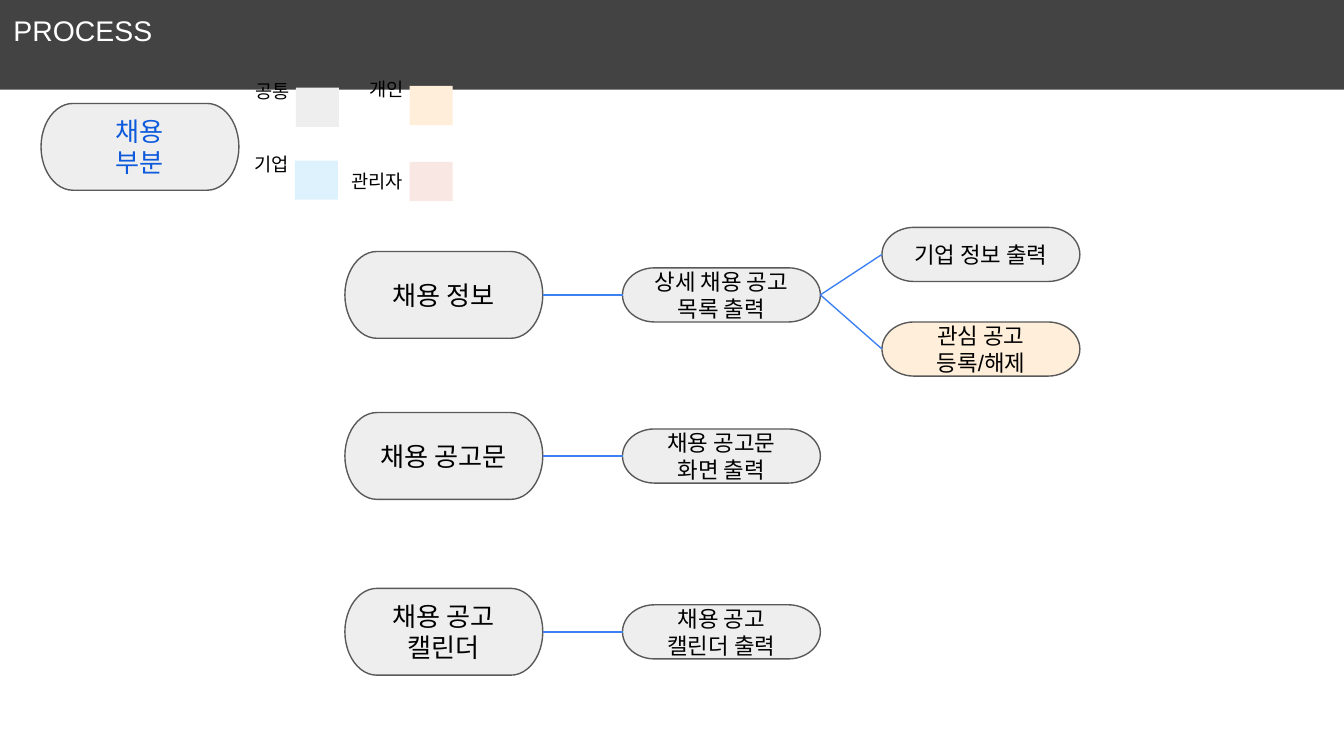
from lxml.etree import SubElement
from pptx import Presentation
from pptx.dml.color import RGBColor
from pptx.enum.shapes import MSO_CONNECTOR, MSO_SHAPE
from pptx.enum.text import MSO_ANCHOR, MSO_AUTO_SIZE, PP_ALIGN
from pptx.oxml.ns import qn
from pptx.util import Pt

FONT = "Arial"
BLACK = RGBColor(0x00, 0x00, 0x00)
WHITE = RGBColor(0xFF, 0xFF, 0xFF)
BAND = RGBColor(0x43, 0x43, 0x43)
OUTLINE = RGBColor(0x59, 0x59, 0x59)
LINK = RGBColor(0x3C, 0x81, 0xF3)
HEADING = RGBColor(0x0D, 0x5B, 0xDC)
COMMON = RGBColor(0xEE, 0xEE, 0xEE)
PERSONAL = RGBColor(0xFF, 0xEE, 0xD9)
COMPANY = RGBColor(0xDE, 0xF2, 0xFE)
ADMIN = RGBColor(0xF9, 0xE7, 0xE3)

NODE_WIDTH = 106
STEP_HEIGHT, DETAIL_HEIGHT = 46.5, 29
STEP_X, DETAIL_X, RESULT_X = 184.8, 333.5, 472.5


def write(frame, text, size, color, align=PP_ALIGN.CENTER):
    """Fill a text frame and format all of its runs."""
    frame.text = text
    frame.word_wrap = True
    frame.auto_size = MSO_AUTO_SIZE.NONE
    for paragraph in frame.paragraphs:
        paragraph.alignment = align
        for run in paragraph.runs:
            run.font.name = FONT
            run.font.size = Pt(size)
            run.font.color.rgb = color


def add_title(slide, text):
    """Turn the title placeholder into the dark band across the top."""
    title = slide.shapes.title
    title.left, title.top, title.width, title.height = Pt(0), Pt(0), Pt(720), Pt(48)
    title.fill.solid()
    title.fill.fore_color.rgb = BAND
    frame = title.text_frame
    write(frame, text, 15.2, WHITE, PP_ALIGN.LEFT)
    frame.vertical_anchor = MSO_ANCHOR.TOP
    frame.margin_left = frame.margin_right = Pt(7.2)
    frame.margin_top = frame.margin_bottom = Pt(7.2)


def add_block(slide, preset, left, top, width, height, fill):
    """Add a filled preset shape without a shadow or outline."""
    block = slide.shapes.add_shape(preset, Pt(left), Pt(top), Pt(width), Pt(height))
    block.shadow.inherit = False
    block.fill.solid()
    block.fill.fore_color.rgb = fill
    block.line.fill.background()
    return block


def add_node(slide, text, left, middle, height, size, fill=COMMON, color=BLACK):
    """Add a process node centred on the given height."""
    node = add_block(slide, MSO_SHAPE.FLOWCHART_TERMINATOR, left, middle - height / 2,
                     NODE_WIDTH, height, fill)
    node.line.color.rgb = OUTLINE
    node.line.width = Pt(0.75)
    frame = node.text_frame
    write(frame, text, size, color)
    frame.vertical_anchor = MSO_ANCHOR.MIDDLE
    frame.margin_left = frame.margin_right = Pt(7.2)
    frame.margin_top = frame.margin_bottom = Pt(7.2)
    return node


def add_step(slide, text, middle, color=BLACK, left=STEP_X):
    """Add a large node."""
    return add_node(slide, text, left, middle, STEP_HEIGHT, 14, color=color)


def add_detail(slide, text, left, middle, source, fill=COMMON):
    """Add a small node and link it to its source."""
    detail = add_node(slide, text, left, middle, DETAIL_HEIGHT, 12, fill)
    link = slide.shapes.add_connector(MSO_CONNECTOR.STRAIGHT, 0, 0, 0, 0)
    link.begin_connect(source, 3)
    link.end_connect(detail, 1)
    link.line.color.rgb = LINK
    link.line.width = Pt(0.75)
    SubElement(link._element.spPr, qn("a:effectLst"))
    return detail


def add_legend_entry(slide, text, label_left, label_middle, label_width,
                     swatch_left, swatch_top, fill):
    """Add a legend label with its colour swatch."""
    label = slide.shapes.add_textbox(Pt(label_left), Pt(label_middle - 8),
                                     Pt(label_width), Pt(16))
    frame = label.text_frame
    write(frame, text, 10, BLACK)
    frame.vertical_anchor = MSO_ANCHOR.MIDDLE
    frame.margin_left = frame.margin_right = Pt(0)
    frame.margin_top = frame.margin_bottom = Pt(0)
    add_block(slide, MSO_SHAPE.RECTANGLE, swatch_left, swatch_top, 23, 21, fill)


def main():
    """Build the process slide."""
    deck = Presentation()
    deck.slide_width, deck.slide_height = Pt(720), Pt(405)
    slide = deck.slides.add_slide(deck.slide_layouts[5])
    add_title(slide, "PROCESS")
    add_step(slide, "채용\n부분", 78.7, HEADING, left=22)

    flows = [
        ("채용 정보", "상세 채용 공고 목록 출력", 158),
        ("채용 공고문", "채용 공고문 화면 출력", 244.3),
        ("채용 공고 캘린더", "채용 공고 캘린더 출력", 338.5),
    ]
    details = [
        add_detail(slide, detail, DETAIL_X, middle, add_step(slide, step, middle))
        for step, detail, middle in flows
    ]
    add_detail(slide, "기업 정보 출력", RESULT_X, 136.3, details[0])
    add_detail(slide, "관심 공고\n등록/해제", RESULT_X, 187, details[0], PERSONAL)

    legend = [
        ("공통", 128, 49, 36, 158.5, 47, COMMON),
        ("개인", 189, 48, 36, 219.5, 46, PERSONAL),
        ("기업", 127.5, 88, 36, 158, 86, COMPANY),
        ("관리자", 179, 97, 46, 219.5, 86.7, ADMIN),
    ]
    for entry in legend:
        add_legend_entry(slide, *entry)
    deck.save("out.pptx")


if __name__ == "__main__":
    main()
